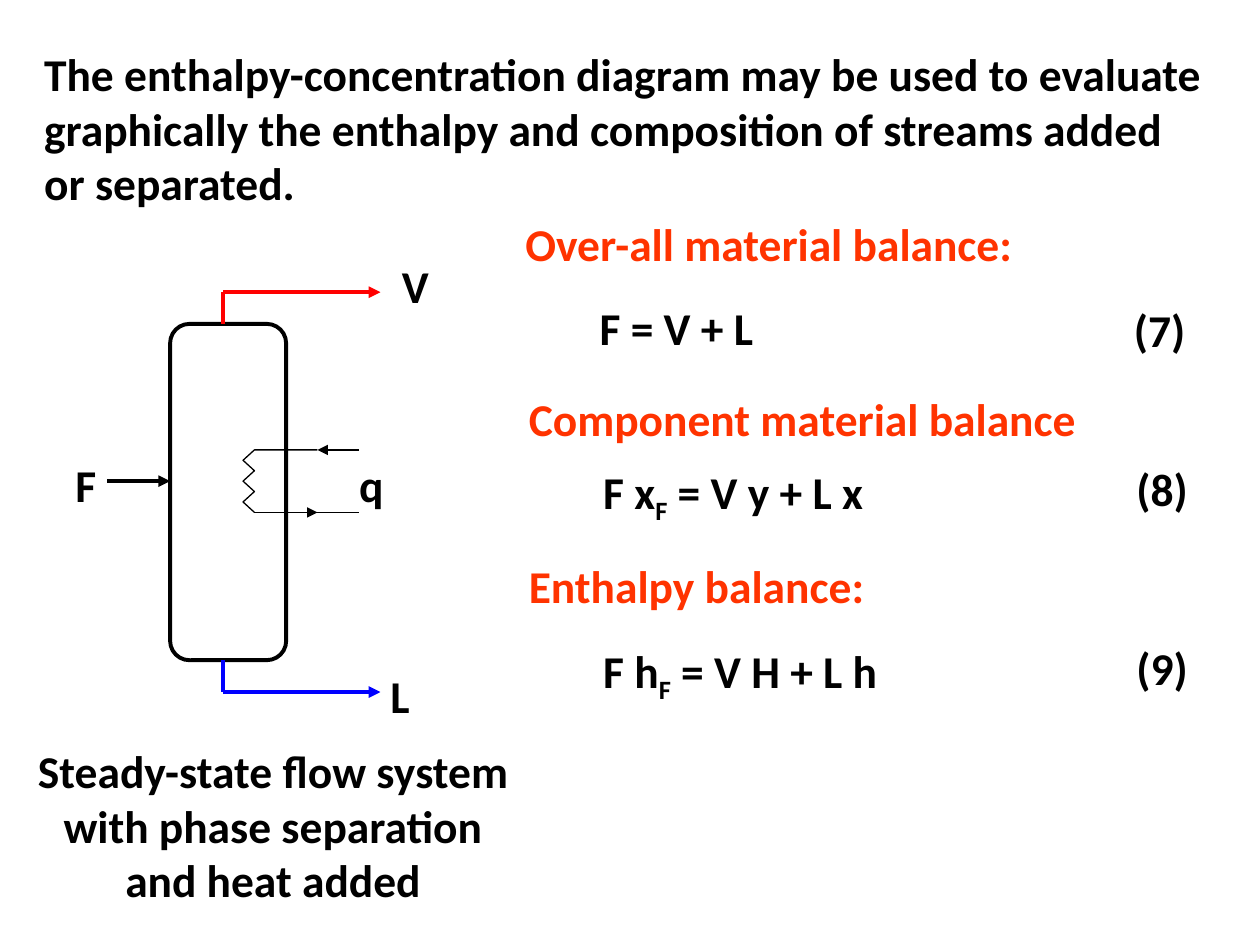
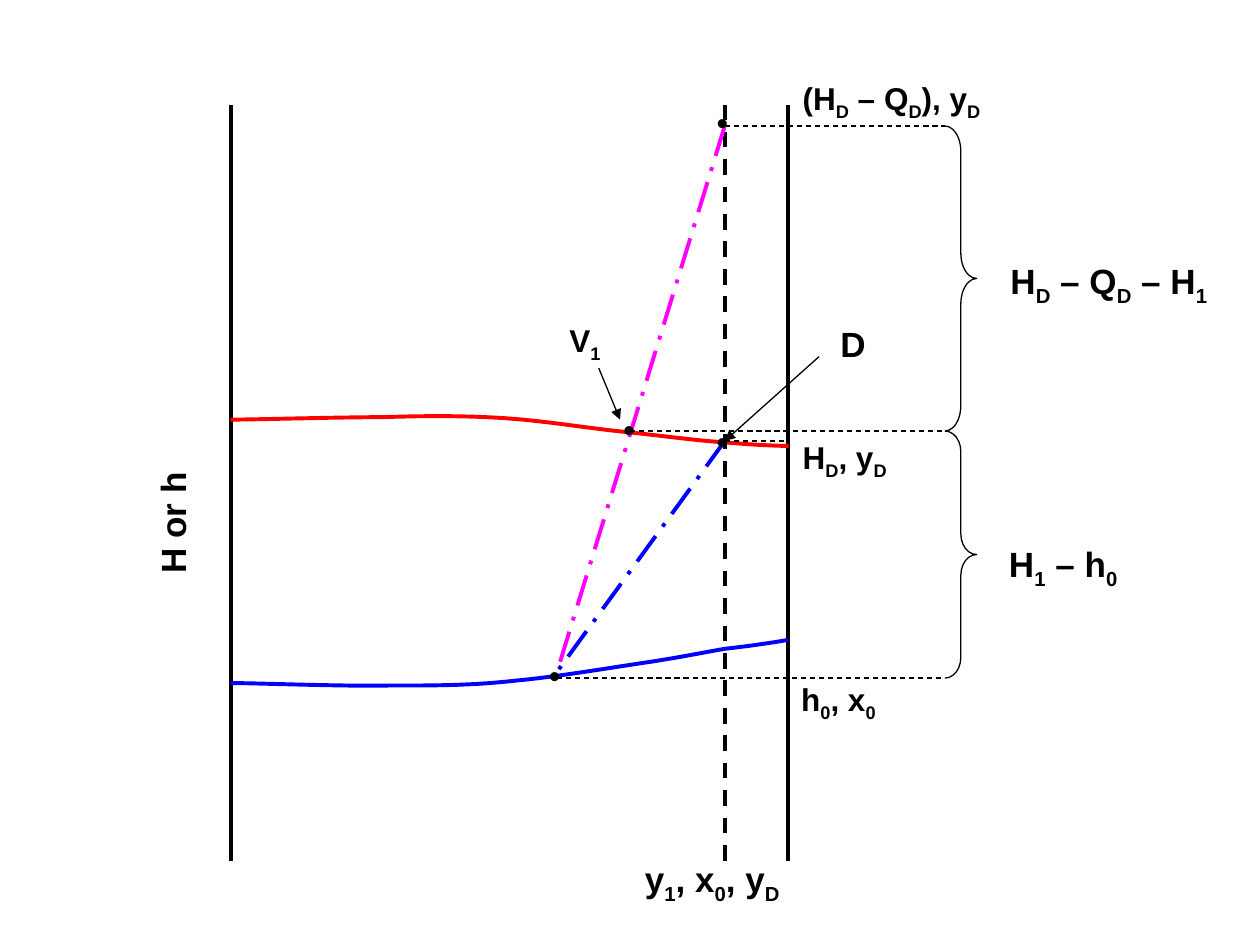
from typing import NamedTuple

from lxml.etree import SubElement
from pptx import Presentation
from pptx.dml.color import RGBColor
from pptx.enum.dml import MSO_LINE
from pptx.enum.shapes import MSO_CONNECTOR, MSO_SHAPE
from pptx.enum.text import MSO_AUTO_SIZE, PP_ALIGN
from pptx.oxml.ns import qn
from pptx.util import Cm, Pt

BLACK, RED, BLUE = "000000", "FF0000", "0000FF"
MAGENTA, ORANGE = "FF00FF", "FF3300"
THICK, THIN = 2.25, 0.75
DASH, DASH_DOT = MSO_LINE.DASH, MSO_LINE.LONG_DASH_DOT

Point = tuple[float, float]


class Label(NamedTuple):
    """Text in a box, in centimetres; "_" makes the next letter a subscript."""
    text: str
    left: float
    top: float
    width: float
    height: float = 1.37


class Stroke(NamedTuple):
    """A straight line between two points, in centimetres."""
    start: Point
    end: Point
    color: str = BLACK
    weight: float = THIN
    dash: MSO_LINE | None = None
    arrow: bool = False


def rgb(color: str) -> RGBColor:
    return RGBColor.from_string(color)


def add_text(slide, label: Label, *, font="Calibri", size=26, color=BLACK,
             align=PP_ALIGN.LEFT, wrap=False, rotation=0) -> None:
    box = slide.shapes.add_textbox(*(Cm(length) for length in label[1:]))
    box.rotation = rotation
    frame = box.text_frame
    frame.word_wrap = wrap
    frame.auto_size = MSO_AUTO_SIZE.SHAPE_TO_FIT_TEXT
    paragraph = frame.paragraphs[0]
    paragraph.alignment = align

    def add_run(text: str, subscript: bool = False) -> None:
        if not text:
            return
        run = paragraph.add_run()
        run.text = text
        run.font.name, run.font.size, run.font.bold = font, Pt(size), True
        run.font.color.rgb = rgb(color)
        if subscript:
            run._r.get_or_add_rPr().set("baseline", "-25000")

    first, *rest = label.text.split("_")
    add_run(first)
    for part in rest:
        add_run(part[0], subscript=True)
        add_run(part[1:])


def add_stroke(slide, stroke: Stroke) -> None:
    connector = slide.shapes.add_connector(
        MSO_CONNECTOR.STRAIGHT, *(Cm(v) for v in stroke.start + stroke.end))
    connector.line.color.rgb = rgb(stroke.color)
    connector.line.width = Pt(stroke.weight)
    if stroke.dash is not None:
        connector.line.dash_style = stroke.dash
    properties = connector.element.spPr
    if stroke.arrow:
        SubElement(properties.find(qn("a:ln")), qn("a:tailEnd"), type="triangle")
    SubElement(properties, qn("a:effectLst"))


def outline(shape, color: str, weight: float) -> None:
    shape.shadow.inherit = False
    shape.fill.background()
    shape.line.color.rgb = rgb(color)
    shape.line.width = Pt(weight)


def add_outline(slide, kind: MSO_SHAPE, left: float, top: float, width: float,
                height: float, weight: float):
    shape = slide.shapes.add_shape(kind, Cm(left), Cm(top), Cm(width), Cm(height))
    outline(shape, BLACK, weight)
    return shape


def add_polyline(slide, points: list[Point], color: str, weight: float) -> None:
    first, *rest = [(Cm(x), Cm(y)) for x, y in points]
    builder = slide.shapes.build_freeform(*first)
    builder.add_line_segments(rest, close=False)
    outline(builder.convert_to_shape(), color, weight)


def bezier_points(controls: list[Point], steps: int = 12) -> list[Point]:
    """Sample a chain of cubic curves; neighbours share an end point."""
    points = [controls[0]]
    for i in range(0, len(controls) - 1, 3):
        for step in range(1, steps + 1):
            t = step / steps
            weights = ((1 - t) ** 3, 3 * t * (1 - t) ** 2, 3 * t * t * (1 - t), t ** 3)
            x, y = (sum(w * p[axis] for w, p in zip(weights, controls[i:i + 4]))
                    for axis in (0, 1))
            points.append((x, y))
    return points


def build_balances(slide) -> None:
    # Vessel with its feed, vapor and liquid streams
    vessel_left, vessel_top, vessel_height = 3.43, 6.53, 6.78
    vessel_bottom = vessel_top + vessel_height
    add_outline(slide, MSO_SHAPE.ROUNDED_RECTANGLE, vessel_left, vessel_top,
                2.34, vessel_height, THICK)
    add_stroke(slide, Stroke((2.16, 9.7), (vessel_left, 9.7), weight=THICK, arrow=True))
    outlet_x, outlet_end, rise = 4.5, 7.67, 0.64
    for edge, turn, color in ((vessel_top, vessel_top - rise, RED),
                              (vessel_bottom, vessel_bottom + rise, BLUE)):
        add_stroke(slide, Stroke((outlet_x, edge), (outlet_x, turn), color, THICK))
        add_stroke(slide, Stroke((outlet_x, turn), (outlet_end, turn), color, THICK,
                                 arrow=True))

    # Heating coil
    coil_top, coil_step = 9.07, 0.21
    coil_bottom = coil_top + 6 * coil_step
    coil_right, arrow_x, coil_end = 5.13, 6.4, 7.24
    zigzag = [(4.9 if i % 2 else coil_right, coil_top + i * coil_step)
              for i in range(7)]
    add_polyline(slide, [(arrow_x, coil_top), *zigzag], BLACK, THIN)
    add_stroke(slide, Stroke((coil_end, coil_top), (arrow_x, coil_top), arrow=True))
    add_stroke(slide, Stroke((coil_right, coil_bottom), (arrow_x, coil_bottom),
                             arrow=True))
    add_stroke(slide, Stroke((arrow_x, coil_bottom), (coil_end, coil_bottom)))

    # Stream names, equations and their numbers
    for label in (
        Label("q", 6.99, 9.09, 0.99),
        Label("F", 1.27, 9.09, 0.91),
        Label("V", 7.85, 5.08, 1.04),
        Label("L", 7.62, 13.34, 0.89),
        Label("F = V + L", 11.84, 5.92, 3.61),
        Label("F x_F = V y + L x", 11.91, 9.22, 5.94, 1.52),
        Label("F h_F = V H + L h", 11.91, 12.83, 6.22, 1.52),
        Label("(7)", 22.61, 5.97, 1.55),
        Label("(8)", 22.66, 9.17, 1.55),
        Label("(9)", 22.66, 12.78, 1.55),
    ):
        add_text(slide, label)

    # Balance headings
    for label in (
        Label("Over-all material balance:", 10.34, 4.24, 11.25),
        Label("Component material balance", 10.41, 7.75, 11.58),
        Label("Enthalpy balance:", 10.41, 11.13, 7.29),
    ):
        add_text(slide, label, color=ORANGE, wrap=label.text.startswith("Over"))

    # Introduction and caption
    add_text(slide, Label(
        "The enthalpy-concentration diagram may be used to evaluate graphically "
        "the enthalpy and composition of streams added or separated.",
        0.64, 0.81, 23.93, 3.56), wrap=True)
    add_text(slide, Label(
        "Steady-state flow system with phase separation and heat added",
        0.43, 14.86, 10.16, 3.56), wrap=True, align=PP_ALIGN.CENTER)


def build_diagram(slide) -> None:
    axis_left, axis_right, axis_top, axis_bottom = 4.65, 15.88, 2.11, 17.35
    distillate_x, brace_x = 14.61, 19.05
    difference_y, vapor_y, distillate_y, liquid_y = 2.54, 8.69, 8.89, 13.67
    difference_point = (distillate_x, difference_y)
    distillate_point = (distillate_x, distillate_y)
    reflux_point = (11.23, 13.54)

    # Axes
    for x in (axis_left, axis_right):
        add_stroke(slide, Stroke((x, axis_top), (x, axis_bottom), weight=THICK))

    # Saturated liquid and vapor curves
    liquid_curve = [
        (4.65, 13.77), (5.18, 13.77), (6.91, 13.84), (7.87, 13.82),
        (8.81, 13.82), (9.53, 13.82), (10.41, 13.72),
        (11.28, 13.64), (12.42, 13.44), (13.13, 13.34),
        (13.82, 13.23), (14.15, 13.16), (14.61, 13.08),
        (15.06, 13.03), (15.62, 12.95), (15.88, 12.9)]
    vapor_curve = [
        (4.65, 8.46), (5.16, 8.46), (6.81, 8.41), (7.72, 8.41),
        (8.64, 8.38), (9.35, 8.38), (10.16, 8.43),
        (10.97, 8.48), (11.89, 8.64), (12.62, 8.71),
        (13.39, 8.79), (14.1, 8.89), (14.63, 8.92),
        (15.19, 8.97), (15.65, 8.99), (15.9, 8.99)]
    add_polyline(slide, bezier_points(liquid_curve), BLUE, THICK)
    add_polyline(slide, bezier_points(vapor_curve), RED, THICK)

    # Construction lines, operating lines and pointers
    for stroke in (
        Stroke((distillate_x, axis_bottom), (distillate_x, axis_top), BLACK, THICK, DASH),
        Stroke(difference_point, (brace_x, difference_y), dash=DASH),
        Stroke((12.7, vapor_y), (brace_x, vapor_y), dash=DASH),
        Stroke((reflux_point[0], liquid_y), (brace_x, liquid_y), dash=DASH),
        Stroke(distillate_point, (axis_right, distillate_y), dash=DASH),
        Stroke(difference_point, reflux_point, MAGENTA, THICK, DASH_DOT),
        Stroke(distillate_point, reflux_point, BLUE, THICK, DASH_DOT),
        Stroke((12.07, 7.42), (12.5, 8.46), arrow=True),
        Stroke((16.51, 7.19), distillate_point, arrow=True),
    ):
        add_stroke(slide, stroke)

    # Enthalpy difference braces
    brace_width = 0.64
    for top, bottom in ((difference_y, vapor_y), (vapor_y, liquid_y)):
        brace = add_outline(slide, MSO_SHAPE.RIGHT_BRACE, brace_x, top,
                            brace_width, bottom - top, THIN)
        brace.adjustments[0] = (bottom - top) / brace_width / 12

    # Points on the curves
    for left, top in ((14.2, 1.96), (14.2, 8.38), (12.32, 8.15), (10.82, 13.11)):
        add_text(slide, Label("•", left, top, 0.76, 1.02), font="Arial", size=18)

    # Point coordinates
    for label in (
        Label("h_0, x_0", 15.9, 13.59, 2.01, 1.12),
        Label("V_1", 11.23, 6.35, 1.3, 1.12),
        Label("H_D, y_D", 15.93, 8.71, 2.21, 1.12),
        Label("(H_D – Q_D), y_D", 15.93, 1.47, 4.09, 1.12),
    ):
        add_text(slide, label, font="Arial", size=18)

    # Differences and axis names
    for label in (
        Label("H_D – Q_D – H_1", 20.12, 5.11, 4.47, 1.22),
        Label("H_1 – h_0", 20.09, 10.82, 2.9, 1.22),
        Label("y_1, x_0, y_D", 12.75, 17.17, 3.23, 1.22),
        Label("D", 16.69, 6.38, 1.02, 1.12),
    ):
        add_text(slide, label, font="Arial", size=20)
    add_text(slide, Label("H or h", 2.11, 9.88, 2.74, 1.12), font="Arial", size=20,
             rotation=270)


def main() -> None:
    presentation = Presentation()
    presentation.slide_width, presentation.slide_height = Cm(25.4), Cm(19.05)
    blank_layout = presentation.slide_layouts[6]
    for build in (build_balances, build_diagram):
        build(presentation.slides.add_slide(blank_layout))
    presentation.save("out.pptx")


if __name__ == "__main__":
    main()
